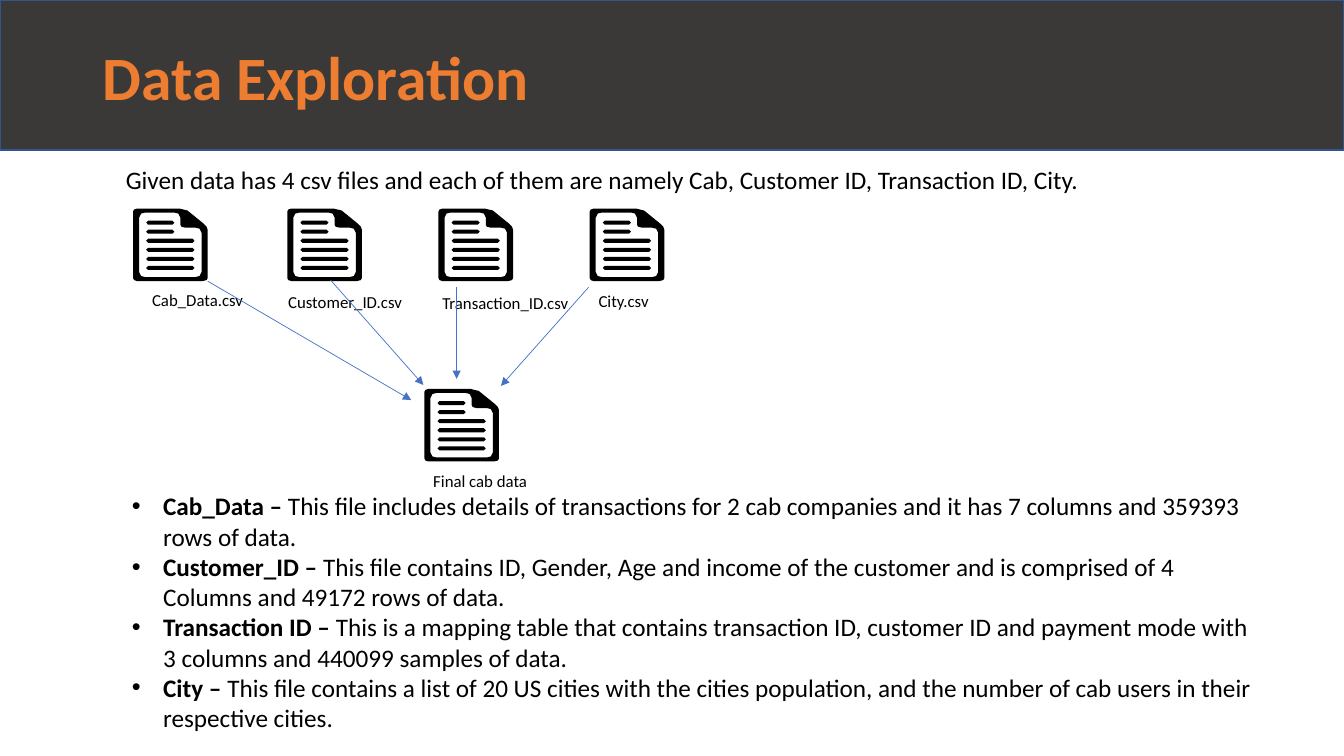
from lxml import etree
from pptx import Presentation
from pptx.dml.color import RGBColor
from pptx.enum.shapes import MSO_CONNECTOR, MSO_SHAPE
from pptx.enum.text import MSO_ANCHOR
from pptx.oxml.ns import qn
from pptx.util import Inches, Pt

RECT = MSO_SHAPE.RECTANGLE
STRAIGHT = MSO_CONNECTOR.STRAIGHT
TOP, MIDDLE = MSO_ANCHOR.TOP, MSO_ANCHOR.MIDDLE

COLUMNS = 160
ICON_UNIT = 0.12
BLACK, ORANGE, BLUE = "000000", "ED7D31", "4472C4"

PAGE = [(4, 72), (1, 71), (0, 69), (0, 3), (1, 1), (4, 0), (46, 0), (50, 1),
        (54, 2), (70, 15), (73, 18), (74, 21), (74, 69), (73, 71), (69, 72)]
SHEET = [(12, 4), (8, 5), (6, 9), (6, 63), (8, 67), (12, 68), (62, 68),
         (66, 67), (68, 63), (68, 24), (66, 20), (62, 19), (52, 19),
         (48, 18), (47, 16), (47, 9), (45, 5), (41, 4)]
TEXT_LINE_ENDS = [41, 41, 61, 61, 61, 61]

ICONS = [(15.84, 24.84), (34.2, 24.84), (52.2, 24.84), (70.2, 24.84),
         (50.52, 46.32)]
LABELS = [
    ("Cab_Data.csv", (16.92, 33.96, 14.88, 3.6)),
    ("Customer_ID.csv", (33.12, 34.2, 16.8, 3.6)),
    ("Transaction_ID.csv", (51.48, 34.32, 18.24, 3.6)),
    ("City.csv", (70.08, 34.08, 9.96, 3.6)),
    ("Final cab data", (50.4, 55.44, 13.92, 3.6)),
]
ARROWS = [
    (24.72, 33.48, 48.96, 47.64),
    (39.36, 33.36, 50.4, 45.84),
    (54.36, 34.2, 54.36, 45.12),
    (70.08, 34.2, 59.64, 45.96),
]
INTRO = ("Given data has 4 csv files and each of them are namely Cab, "
         "Customer ID, Transaction ID, City.")
FILES = [
    ("Cab_Data – ", "This file includes details of transactions for 2 cab "
     "companies and it has 7 columns and 359393 rows of data."),
    ("Customer_ID – ", "This file contains ID, Gender, Age and income of the "
     "customer and is comprised of 4 Columns and 49172 rows of data."),
    ("Transaction ID – ", "This is a mapping table that contains transaction "
     "ID, customer ID and payment mode with 3 columns and 440099 samples of "
     "data."),
    ("City – ", "This file contains a list of 20 US cities with the cities "
     "population, and the number of cab users in their respective cities."),
]


def rgb(value):
    """Turn a hex string into a colour."""
    return RGBColor.from_string(value)


class Deck:
    """Hold the style and the current slide, measured in square grid cells."""

    font = "Calibri"

    def __init__(self, prs):
        """Add a blank slide and derive the grid cell from its width."""
        self.s = prs.slides.add_slide(prs.slide_layouts[6])
        self.cell = prs.slide_width / COLUMNS

    def grid(self, *cells):
        """Convert grid cells to lengths."""
        return [round(c * self.cell) for c in cells]

    def band(self, box, fill, line):
        """Draw a filled rectangle with an outline."""
        sp = self.s.shapes.add_shape(RECT, *self.grid(*box))
        sp.shadow.inherit = False
        sp.fill.solid()
        sp.fill.fore_color.rgb = rgb(fill)
        sp.line.color.rgb = rgb(line)
        sp.line.width = Pt(1)

    def text(self, box, paragraphs, size, color=BLACK, anchor=TOP,
             spacing=None, bullet=False):
        """Write paragraphs given as lists of (text, bold) runs."""
        tf = self.s.shapes.add_textbox(*self.grid(*box)).text_frame
        tf.word_wrap = True
        tf.vertical_anchor = anchor
        for i, runs in enumerate(paragraphs):
            p = tf.add_paragraph() if i else tf.paragraphs[0]
            p.line_spacing = spacing
            if bullet:
                self.bullet(p)
            for words, bold in runs:
                r = p.add_run()
                r.text = words
                r.font.name = self.font
                r.font.size = Pt(size)
                r.font.bold = bold
                r.font.color.rgb = rgb(color)

    def bullet(self, p):
        """Give a paragraph a hanging bullet."""
        indent = Inches(0.31)
        props = p._p.get_or_add_pPr()
        props.set("marL", str(indent))
        props.set("indent", str(-indent))
        etree.SubElement(props, qn("a:buFont"), typeface="Arial")
        etree.SubElement(props, qn("a:buChar"), char="•")

    def arrow(self, ends):
        """Draw a thin arrow between two points."""
        c = self.s.shapes.add_connector(STRAIGHT, *self.grid(*ends))
        c.line.color.rgb = rgb(BLUE)
        c.line.width = Pt(0.5)
        etree.SubElement(c.line._get_or_add_ln(), qn("a:tailEnd"),
                         type="triangle")
        etree.SubElement(c._element.spPr, qn("a:effectLst"))

    def file_icon(self, corner):
        """Draw a document with a folded corner and lines of text."""
        contours = [PAGE, SHEET]
        for i, end in enumerate(TEXT_LINE_ENDS):
            y = 12 + 9 * i
            contours.append([(15, y), (end - 2, y), (end, y + 2),
                             (end - 2, y + 4), (15, y + 4), (13, y + 2)])
        fb = self.s.shapes.build_freeform(*PAGE[0],
                                          scale=ICON_UNIT * self.cell)
        for i, points in enumerate(contours):
            if i:
                fb.move_to(*points[0])
            fb.add_line_segments(points[1:], close=True)
        sp = fb.convert_to_shape(*self.grid(*corner))
        sp.shadow.inherit = False
        sp.fill.solid()
        sp.fill.fore_color.rgb = rgb(BLACK)
        sp.line.fill.background()


def main():
    """Build the data exploration slide."""
    prs = Presentation()
    prs.slide_width, prs.slide_height = Inches(13.33), Inches(7.5)
    deck = Deck(prs)
    for corner in ICONS:
        deck.file_icon(corner)
    for label, box in LABELS:
        deck.text(box, [[(label, False)]], 12)
    for ends in ARROWS:
        deck.arrow(ends)
    deck.band((0, 0, COLUMNS, 17.88), "3B3838", "325491")
    deck.text((11.04, 0.84, 138, 17.4), [[("Data Exploration", True)]], 44,
              ORANGE, MIDDLE, spacing=0.9)
    deck.text((13.8, 18.96, 121.8, 4.8), [[(INTRO, False)]], 18)
    deck.text((14.52, 57.84, 136.44, 30.24),
              [[(name, True), (about, False)] for name, about in FILES],
              18, bullet=True)
    prs.save("out.pptx")


if __name__ == "__main__":
    main()
